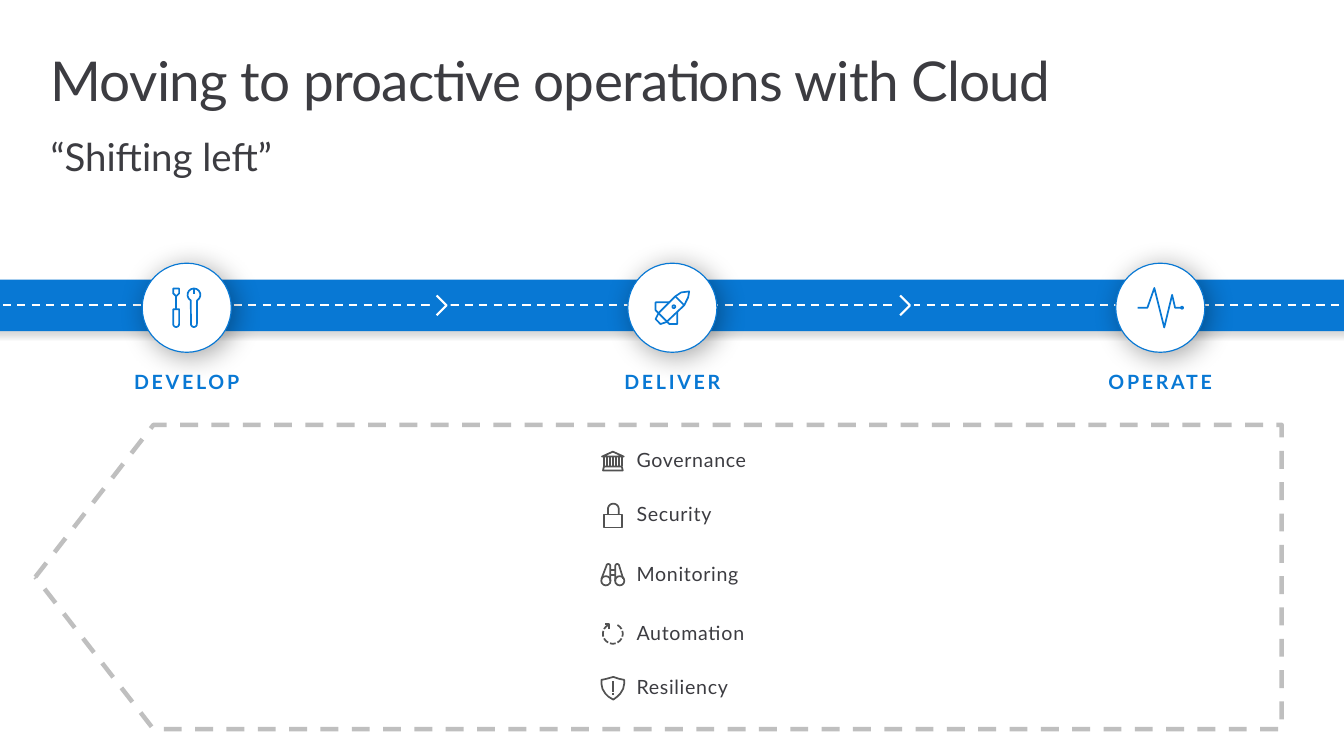
from math import cos, radians, sin

from lxml.etree import SubElement
from pptx import Presentation
from pptx.dml.color import RGBColor
from pptx.enum.dml import MSO_LINE
from pptx.enum.shapes import MSO_CONNECTOR, MSO_SHAPE
from pptx.enum.text import MSO_ANCHOR, MSO_AUTO_SIZE, PP_ALIGN
from pptx.oxml.ns import qn
from pptx.util import Cm, Pt

BLUE, WHITE, INK, ICON_GRAY, ARROW_GRAY = "0878D4", "FFFFFF", "3C3C41", "525252", "BFBFBF"
FONT = "Lato"
ROAD_MIDDLE = 7.85
CIRCLE_MIDDLE = 7.91
CIRCLE_SIZE = 2.29


def color(hex_value):
    return RGBColor.from_string(hex_value)


def apply(target, values):
    for name, value in values.items():
        setattr(target, name, value)


def box(left, top, width, height):
    return [Cm(length) for length in (left, top, width, height)]


def paint(shape, fill=None, line=None, width=1.0, dash=None):
    shape.shadow.inherit = False
    if fill:
        shape.fill.solid()
        shape.fill.fore_color.rgb = color(fill)
    else:
        shape.fill.background()
    if line:
        shape.line.color.rgb = color(line)
        apply(shape.line, {"width": Pt(width), "dash_style": dash})
    else:
        shape.line.fill.background()


def add_shadow(shape, opacity, blur, distance, angle):
    effects = shape._element.spPr.find(qn("a:effectLst"))
    shadow = SubElement(effects, qn("a:outerShdw"), blurRad=str(Pt(blur)),
                        dist=str(Pt(distance)), dir=str(angle * 60000), algn="t", rotWithShape="0")
    black = SubElement(shadow, qn("a:srgbClr"), val="000000")
    SubElement(black, qn("a:alpha"), val=str(opacity * 1000))


def write(shape, text, size, ink=INK, bold=False, spacing=0, anchor=MSO_ANCHOR.TOP,
          insets=(0, 0, 0, 0), wrap=True, align=PP_ALIGN.LEFT, line_spacing=None):
    left, top, right, bottom = insets
    frame = shape.text_frame
    apply(frame, {"word_wrap": wrap, "auto_size": MSO_AUTO_SIZE.NONE, "vertical_anchor": anchor,
                  "margin_left": Cm(left), "margin_top": Cm(top),
                  "margin_right": Cm(right), "margin_bottom": Cm(bottom)})
    paragraph = frame.paragraphs[0]
    apply(paragraph, {"alignment": align, "line_spacing": line_spacing, "space_before": Pt(0)})
    run = paragraph.add_run()
    run.text = text
    apply(run.font, {"name": FONT, "size": Pt(size), "bold": bold})
    run.font.color.rgb = color(ink)
    if spacing:
        run._r.get_or_add_rPr().set("spc", str(round(spacing * 100)))


def place(placeholder, *position):
    apply(placeholder, dict(zip(("left", "top", "width", "height"), box(*position))))


def arc(x, y, radius, start=0, end=360, steps=12):
    angles = [radians(start + (end - start) * step / steps) for step in range(steps + 1)]
    return [(x + radius * cos(angle), y + radius * sin(angle)) for angle in angles]


def add_strokes(slide, strokes, center_x, center_y, line, width=1.25, fill=None):
    """Draw strokes, given in hundredths of an inch, around a centre point."""
    scaled = [[(x * 10, y * 10) for x, y in stroke] for stroke in strokes]
    builder = slide.shapes.build_freeform(*scaled[0][0], scale=Cm(0.00254))
    for number, stroke in enumerate(scaled):
        if number:
            builder.move_to(*stroke[0])
        builder.add_line_segments(stroke[1:], close=stroke[0] == stroke[-1])
    drawing = builder.convert_to_shape()
    apply(drawing, {"left": Cm(center_x) - drawing.width // 2,
                    "top": Cm(center_y) - drawing.height // 2})
    paint(drawing, fill, line, width)


def tools():
    wrench = arc(21, 6.5, 6.5, 120, 420) + arc(21, 36, 3, 0, 180)
    handle = [(0, 21), *arc(3, 36, 3, 180, 0), (6, 21), (0, 21)]
    tip = [(6, 0), (0, 0), (0, 5), (3, 8), (6, 5), (6, 0)]
    return [wrench + wrench[:1], handle, tip, [(3, 8), (3, 21)], [(21, 0), (21, 6)]]


def rocket():
    hull = [(34, 0), (33, 6), (29, 14), (11, 31), (5, 33), (0, 28), (3, 22),
            (20, 5), (26, 1), (34, 0)]
    fins = [[(14, 11), (0, 11), (0, 19), (3, 22)],
            [(3, 22), (14, 33), (22, 33), (22, 21)]]
    return [hull, [(20, 5), (29, 14)], *fins, arc(18.5, 15.5, 1.5)]


def pulse():
    return [[(0, 20), (10, 20), (17, 0), (27, 40), (35, 7), (38, 20), (44, 20)],
            arc(45, 20, 1)]


def government():
    columns = [[(x, 5), (x, 15)] for x in range(2, 21, 3)]
    return [[(11, 0), (22, 5), (0, 5), (11, 0)],
            [(2, 15), (20, 15), (21, 19), (1, 19), (2, 15)], *columns]


def padlock():
    return [[(0, 11), (18, 11), (18, 24), (0, 24), (0, 11)],
            [(15, 11), *arc(9.5, 5.5, 5.5, 0, -180), (4, 11)]]


def binoculars():
    return [arc(4.5, 17, 4.7), arc(18.5, 17, 4.7),
            [(22, 15), *arc(16, 2, 2, 0, -180), (14, 17)],
            [(9, 17), *arc(7, 2, 2, 0, -180), (0, 15)],
            [(9, 6), (14, 6)], [(9, 11), (14, 11)]]


def cycle():
    dashes = [arc(10, 10, 10, 45 * turn - 17, 45 * turn + 17) for turn in range(8) if turn != 6]
    return [*dashes, [(6, 5), (6, 0), (2, 0)]]


def shield():
    outline = [(12, 0), (18, 2), (23, 3), (23, 7), (22, 12), (19, 17), (16, 20), (12, 23),
               (7, 20), (4, 17), (1, 12), (0, 7), (0, 3), (5, 2), (12, 0)]
    return [outline, [(12, 4), (12, 15)], [(12, 16), (12, 18)]]


def add_road(slide):
    road = slide.shapes.add_shape(MSO_SHAPE.RECTANGLE, *box(-0.3, 7.19, 35.61, 1.32))
    paint(road, BLUE)
    add_shadow(road, 14, 4, 3, 90)
    lane = slide.shapes.add_connector(MSO_CONNECTOR.STRAIGHT, 0, 0, 0, 0)
    lane.begin_connect(road, 1)
    lane.end_connect(road, 3)
    lane.line.color.rgb = color(WHITE)
    apply(lane.line, {"width": Pt(1.5), "dash_style": MSO_LINE.DASH})
    SubElement(lane._element.spPr, qn("a:effectLst"))
    # Chevrons interrupt the lane line
    for gap_left in (11.05, 22.96):
        gap = slide.shapes.add_shape(MSO_SHAPE.RECTANGLE, *box(gap_left, 7.59, 0.53, 0.53))
        paint(gap, BLUE)
        add_strokes(slide, [[(0, 0), (10, 10), (0, 20)]], gap_left + 0.3, ROAD_MIDDLE,
                    WHITE, 1.5, BLUE)


def add_stage(slide, name, strokes, center):
    circle = slide.shapes.add_shape(
        MSO_SHAPE.OVAL, *box(center - CIRCLE_SIZE / 2, CIRCLE_MIDDLE - CIRCLE_SIZE / 2,
                             CIRCLE_SIZE, CIRCLE_SIZE))
    paint(circle, WHITE, BLUE, 0.85)
    add_shadow(circle, 35, 20, 4, 45)
    add_strokes(slide, strokes, center, CIRCLE_MIDDLE, BLUE)
    label = slide.shapes.add_textbox(*box(center - 3.1, 8.99, 6.2, 1.65))
    write(label, name, 14.3, BLUE, True, 2, MSO_ANCHOR.MIDDLE,
          (0.51, 0.41, 0.51, 0.41), False, PP_ALIGN.CENTER)


def add_practice(slide, name, strokes, middle):
    label = slide.shapes.add_textbox(*box(15.32, middle - 0.35, 6.2, 0.7))
    write(label, name, 14.3, spacing=0.5, anchor=MSO_ANCHOR.MIDDLE,
          insets=(1.04, 0.25, 0.25, 0.25), line_spacing=0.9)
    add_strokes(slide, strokes, 15.75, middle, ICON_GRAY)


def main():
    deck = Presentation()
    apply(deck, {"slide_width": Cm(34.54), "slide_height": Cm(19.43)})
    slide = deck.slides.add_slide(deck.slide_layouts[1])

    # Title and subtitle
    title, subtitle = slide.placeholders
    place(title, 1.3, 1.75, 32.03, 1.17)
    write(title, "Moving to proactive operations with Cloud", 40, spacing=-0.5, line_spacing=Pt(32))
    place(subtitle, 1.3, 3.43, 32.1, 1.19)
    properties = subtitle.text_frame.paragraphs[0]._p.get_or_add_pPr()
    apply(properties, {"marL": 0, "indent": 0}) if hasattr(properties, "marL") else None
    properties.set("marL", "0")
    properties.set("indent", "0")
    SubElement(properties, qn("a:buNone"))
    write(subtitle, "“Shifting left”", 28)

    # Road with its three stages
    add_road(slide)
    for name, strokes, center in (("DEVELOP", tools(), 4.8), ("DELIVER", rocket(), 17.28),
                                  ("OPERATE", pulse(), 29.82)):
        add_stage(slide, name, strokes, center)

    # Left-pointing arrow with the practices inside
    arrow = slide.shapes.add_shape(MSO_SHAPE.LEFT_ARROW, *box(0.91, 10.92, 32.03, 7.82))
    arrow.adjustments[0], arrow.adjustments[1] = 1, 0.388
    paint(arrow, None, ARROW_GRAY, 3.25, MSO_LINE.DASH)
    for name, strokes, middle in (("Governance", government(), 11.85),
                                  ("Security", padlock(), 13.25),
                                  ("Monitoring", binoculars(), 14.77),
                                  ("Automation", cycle(), 16.29),
                                  ("Resiliency", shield(), 17.69)):
        add_practice(slide, name, strokes, middle)

    deck.save("out.pptx")


if __name__ == "__main__":
    main()
